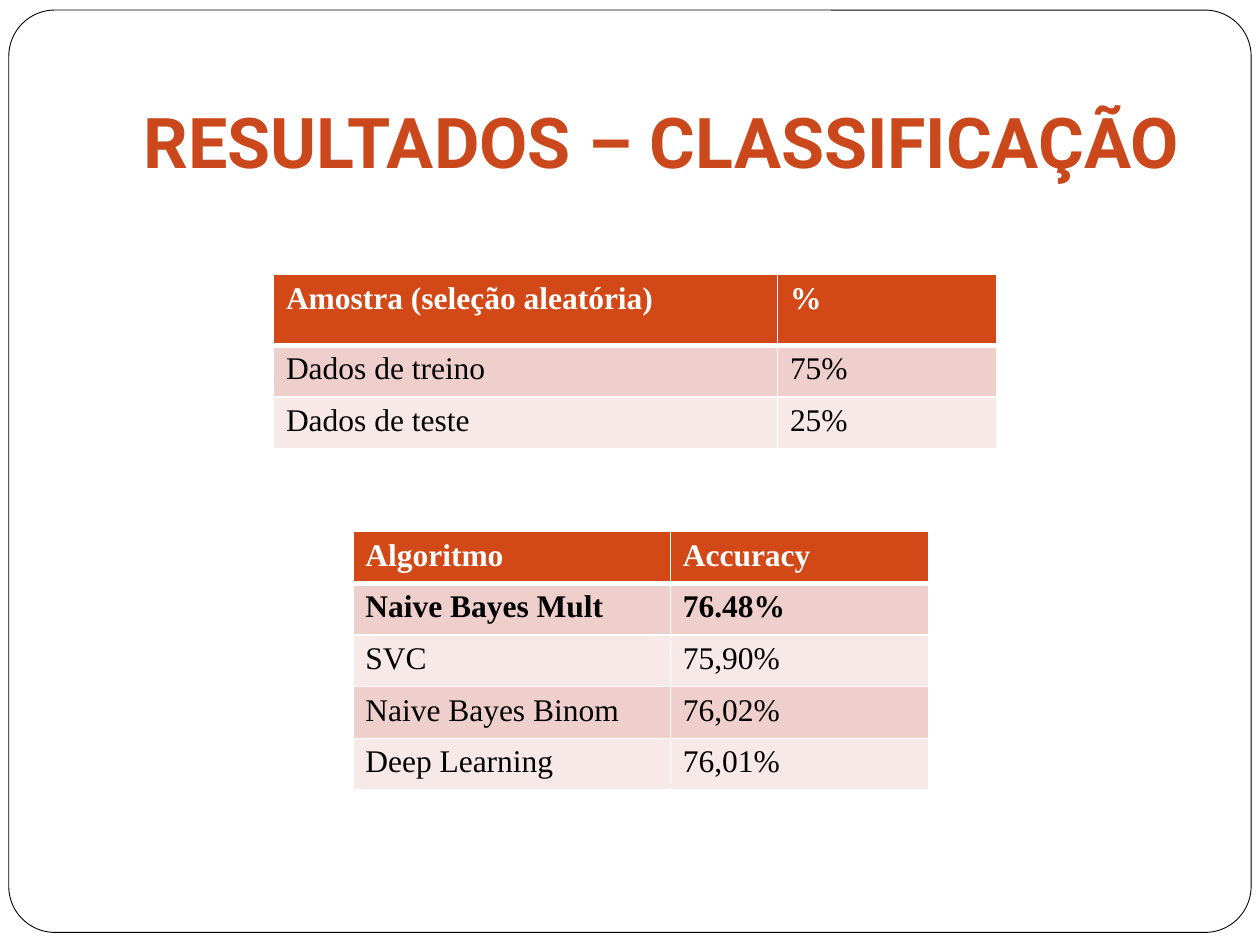
from lxml import etree
from pptx import Presentation
from pptx import util as u
from pptx.dml.color import RGBColor
from pptx.enum import shapes, text
from pptx.oxml import ns


def rgb(value):
    return RGBColor.from_string(value)


def add_border(cell, side, width):
    ln = etree.SubElement(cell._tc.get_or_add_tcPr(), ns.qn(f"a:ln{side}"), w=str(u.Pt(width)))
    fill = etree.SubElement(ln, ns.qn("a:solidFill"))
    etree.SubElement(fill, ns.qn("a:srgbClr"), val="FFFFFF")


prs = Presentation()
prs.slide_width, prs.slide_height = u.Inches(10), u.Inches(7.5)
s = prs.slides.add_slide(prs.slide_layouts[6])

# Rounded frame
sp = s.shapes.add_shape(shapes.MSO_SHAPE.ROUNDED_RECTANGLE, u.Inches(0.07), u.Inches(0.08),
                        u.Inches(9.86), u.Inches(7.32))
sp.adjustments[0] = 0.05
sp.shadow.inherit = False
sp.fill.solid()
sp.fill.fore_color.rgb = rgb("FFFFFF")
sp.line.color.rgb = rgb("000000")
sp.line.width = u.Pt(0.5)

# Title
tf = s.shapes.add_textbox(u.Inches(1), u.Inches(0.3), u.Inches(8.5), u.Inches(1.25)).text_frame
tf.word_wrap = True
tf.vertical_anchor = text.MSO_ANCHOR.BOTTOM
tf.margin_bottom = u.Inches(0.1)
tf.text = "RESULTADOS – CLASSIFICAÇÃO"
p = tf.paragraphs[0]
p.alignment = text.PP_ALIGN.CENTER
font = p.runs[0].font
font.name, font.size, font.bold = "Roboto", u.Pt(40), True
font.color.rgb = rgb("CA481C")

# Tables: left, top, column widths, row heights, bold rows, contents
tables = [
    (2.17, 2.18, [4, 1.74], [0.56, 0.41, 0.41], [0],
     [("Amostra (seleção aleatória)", "%"),
      ("Dados de treino", "75%"),
      ("Dados de teste", "25%")]),
    (2.8, 4.22, [2.52, 2.05], [0.41] * 5, [0, 1],
     [("Algoritmo", "Accuracy"),
      ("Naive Bayes Mult", "76.48%"),
      ("SVC", "75,90%"),
      ("Naive Bayes Binom", "76,02%"),
      ("Deep Learning", "76,01%")]),
]
for left, top, widths, heights, bold_rows, rows in tables:
    table = s.shapes.add_table(len(rows), len(widths), u.Inches(left), u.Inches(top),
                               u.Inches(sum(widths)), u.Inches(sum(heights))).table
    for column, width in zip(table.columns, widths):
        column.width = u.Inches(width)
    for i, (row, height) in enumerate(zip(table.rows, heights)):
        row.height = u.Inches(height)
        # Header row, then alternating bands
        color = "D34817" if i == 0 else ("F7E9E8", "EFCFCC")[i % 2]
        for cell, value in zip(row.cells, rows[i]):
            cell.text = value
            font = cell.text_frame.paragraphs[0].runs[0].font
            font.name, font.size, font.bold = "Times New Roman", u.Pt(18), i in bold_rows
            font.color.rgb = rgb("FFFFFF" if i == 0 else "000000")
            # A thick rule separates the header from the body
            for side in "LRTB":
                add_border(cell, side, 3 if (i, side) in [(0, "B"), (1, "T")] else 1)
            cell.fill.solid()
            cell.fill.fore_color.rgb = rgb(color)

prs.save("out.pptx")
